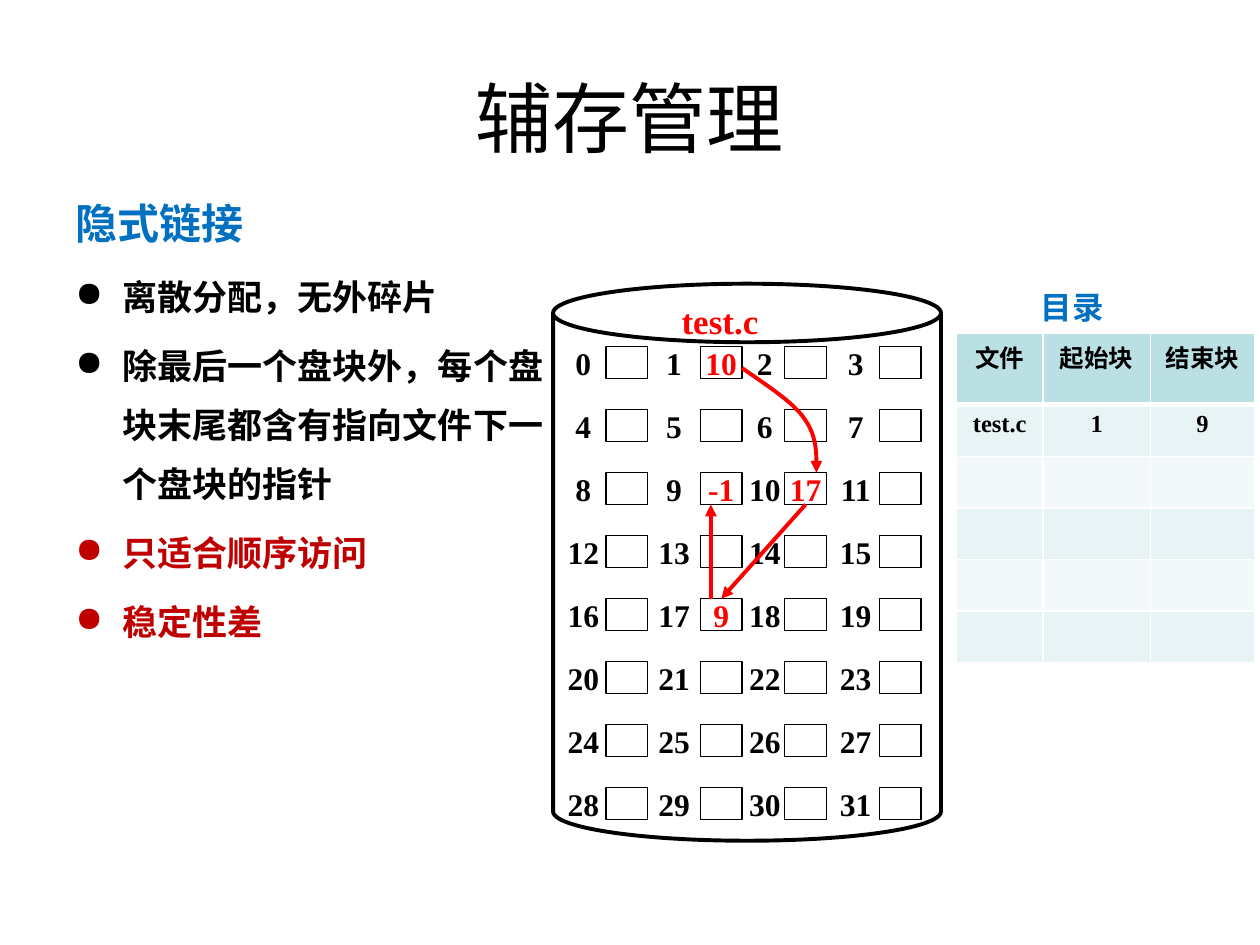
from lxml.etree import SubElement
from pptx import Presentation
from pptx.dml.color import RGBColor
from pptx.enum.shapes import MSO_CONNECTOR, MSO_SHAPE
from pptx.enum.text import MSO_ANCHOR, PP_ALIGN
from pptx.oxml.ns import qn
from pptx.util import Cm, Pt

STRAIGHT = MSO_CONNECTOR.STRAIGHT
CAN, RECTANGLE = MSO_SHAPE.CAN, MSO_SHAPE.RECTANGLE
MIDDLE = MSO_ANCHOR.MIDDLE
CENTER, LEFT = PP_ALIGN.CENTER, PP_ALIGN.LEFT
TOP_SIDE, BOTTOM_SIDE = 0, 2

BLACK = RGBColor(0x00, 0x00, 0x00)
WHITE = RGBColor(0xFF, 0xFF, 0xFF)
RED = RGBColor(0xFF, 0x00, 0x00)
DARK_RED = RGBColor(0xC0, 0x00, 0x00)
BLUE = RGBColor(0x00, 0x70, 0xC0)
HEADER_TEAL = RGBColor(0xBB, 0xE0, 0xE3)
BAND_TEAL = RGBColor(0xE7, 0xF3, 0xF4)
PALE_TEAL = RGBColor(0xF3, 0xF9, 0xFA)

SERIF, SANS, CJK = "Times New Roman", "Arial", "Noto Sans CJK SC"

POINTS = [
    ("离散分配，无外碎片", BLACK),
    ("除最后一个盘块外，每个盘块末尾都含有指向文件下一个盘块的指针", BLACK),
    ("只适合顺序访问", DARK_RED),
    ("稳定性差", DARK_RED),
]
DIRECTORY = [("文件", "起始块", "结束块"), ("test.c", "1", "9")] + [("", "", "")] * 4
NEXT_BLOCK = {1: "10", 9: "-1", 10: "17", 17: "9"}


def set_font(paragraph, size, color, name=SERIF, bold=True):
    font = paragraph.font
    font.size, font.bold = Pt(size), bold
    font.color.rgb = color
    font.name = name
    SubElement(font._rPr, qn("a:ea"), typeface=CJK)


def write_label(shape, text, size, color, name=SERIF, bold=True, align=CENTER, wrap=False):
    frame = shape.text_frame
    frame.word_wrap = wrap
    if align == CENTER:
        frame.vertical_anchor = MIDDLE
    paragraph = frame.paragraphs[0]
    paragraph.text = text
    paragraph.alignment = align
    set_font(paragraph, size, color, name, bold)


def outline(shape, width):
    shape.shadow.inherit = False
    shape.fill.background()
    shape.line.color.rgb = BLACK
    shape.line.width = Pt(width)


def style_arrow(arrow):
    arrow.line.color.rgb = RED
    arrow.line.width = Pt(2.25)
    SubElement(arrow.line._get_or_add_ln(), qn("a:tailEnd"), type="triangle")


def add_title(slide, left, top, width, height):
    title = slide.shapes.add_textbox(Cm(left), Cm(top), Cm(width), Cm(height))
    write_label(title, "辅存管理", 44, BLACK, CJK, bold=False, wrap=True)


def add_points(slide, left, top, width, height):
    frame = slide.shapes.add_textbox(Cm(left), Cm(top), Cm(width), Cm(height)).text_frame
    frame.word_wrap = True
    heading = frame.paragraphs[0]
    heading.text = "隐式链接"
    heading.line_spacing = 1.4
    set_font(heading, 24, BLUE)
    for text, color in POINTS:
        point = frame.add_paragraph()
        point.text = text
        properties = point._p.get_or_add_pPr()
        properties.set("marL", str(Cm(0.95)))
        properties.set("indent", str(-Cm(0.95)))
        SubElement(properties, qn("a:buChar"), char="●")
        point.line_spacing = 1.4
        point.space_before = Pt(6)
        set_font(point, 20, color)


def set_borders(cell, **widths):
    properties = cell._tc.get_or_add_tcPr()
    for side in ("L", "R", "T", "B"):
        line = SubElement(properties, qn(f"a:ln{side}"), w=str(Pt(widths.get(side, 1))))
        SubElement(SubElement(line, qn("a:solidFill")), qn("a:srgbClr"), val=str(WHITE))


def add_directory(slide, left, top):
    caption = slide.shapes.add_textbox(Cm(left + 1.45), Cm(top), Cm(2.39), Cm(1.02))
    write_label(caption, "目录", 18, BLUE, align=LEFT)
    widths, heights = (1.75, 2.16, 2.1), [1.45] + [1.04] * 5
    table = slide.shapes.add_table(
        len(heights), len(widths), Cm(left), Cm(top + 1.02), Cm(sum(widths)), Cm(sum(heights))
    ).table
    for column, width in zip(table.columns, widths):
        column.width = Cm(width)
    for r, (height, texts) in enumerate(zip(heights, DIRECTORY)):
        table.rows[r].height = Cm(height)
        fill = HEADER_TEAL if r == 0 else BAND_TEAL if r % 2 else PALE_TEAL
        for c, text in enumerate(texts):
            cell = table.cell(r, c)
            set_borders(cell, T=3 if r == 1 else 1, B=3 if r == 0 else 1)
            cell.fill.solid()
            cell.fill.fore_color.rgb = fill
            paragraph = cell.text_frame.paragraphs[0]
            paragraph.text = text
            paragraph.alignment = CENTER
            set_font(paragraph, 14, BLACK, SANS if r == 0 else SERIF)


def bezier(p0, p1, p2, p3, steps=12):
    """Return the points after p0 on a cubic Bezier curve."""
    ts = [i / steps for i in range(1, steps + 1)]
    return [
        tuple(
            (1 - t) ** 3 * a + 3 * (1 - t) ** 2 * t * b + 3 * (1 - t) * t**2 * c + t**3 * d
            for a, b, c, d in zip(p0, p1, p2, p3)
        )
        for t in ts
    ]


def add_disk(slide, left, top, width, height):
    """Draw the disk with its 32 numbered blocks and the chain of test.c."""
    shapes = slide.shapes.add_group_shape().shapes

    def place(x, y):
        return Cm(left + x), Cm(top + y)

    disk = shapes.add_shape(CAN, *place(0, 0), Cm(width), Cm(height))
    disk.adjustments[0] = 0.151
    outline(disk, 2.25)

    blocks = []
    for number in range(32):
        row, column = divmod(number, 4)
        y = 1.27 * (row + 1)
        label = shapes.add_textbox(*place(1.83 * column, y), Cm(1.22), Cm(0.64))
        write_label(label, str(number), 18, BLACK)
        block_x = (1.07, 2.97, 4.67, 6.58)[column]
        block = shapes.add_shape(RECTANGLE, *place(block_x, y), Cm(0.84), Cm(0.64))
        outline(block, 0.75)
        if number in NEXT_BLOCK:
            write_label(block, NEXT_BLOCK[number], 18, RED)
        blocks.append(block)

    start, bend, end = (3.81, 1.7), (5.08, 2.74), (5.31, 3.81)
    curve = bezier(start, (4.32, 2.06), (4.85, 2.39), bend)
    curve += bezier(bend, (5.33, 3.1), (5.31, 3.45), end)
    builder = shapes.build_freeform(*place(*start))
    builder.add_line_segments([place(*point) for point in curve], close=False)
    to_block_10 = builder.convert_to_shape()
    to_block_10.shadow.inherit = False
    to_block_10.fill.background()

    to_block_17 = shapes.add_connector(STRAIGHT, 0, 0, 0, 0)
    to_block_17.begin_connect(blocks[10], BOTTOM_SIDE)
    to_block_17.end_connect(blocks[17], TOP_SIDE)
    to_block_9 = shapes.add_connector(STRAIGHT, *place(3.18, 6.35), *place(3.18, 4.45))
    for connector in (to_block_17, to_block_9):
        SubElement(connector._element.spPr, qn("a:effectLst"))
    for arrow in (to_block_10, to_block_17, to_block_9):
        style_arrow(arrow)

    file_name = shapes.add_textbox(*place(2.34, 0.2), Cm(2.39), Cm(1.09))
    write_label(file_name, "test.c", 20, RED, align=LEFT)


def main():
    prs = Presentation()
    prs.slide_width, prs.slide_height = Cm(25.4), Cm(19.05)
    slide = prs.slides.add_slide(prs.slide_layouts[6])
    add_title(slide, 1.27, 0.76, 22.86, 3.18)
    add_points(slide, 1.27, 3.45, 10.21, 11.91)
    add_directory(slide, 19.28, 5.69)
    add_disk(slide, 11.15, 5.72, 7.82, 11.23)
    prs.save("out.pptx")


if __name__ == "__main__":
    main()
